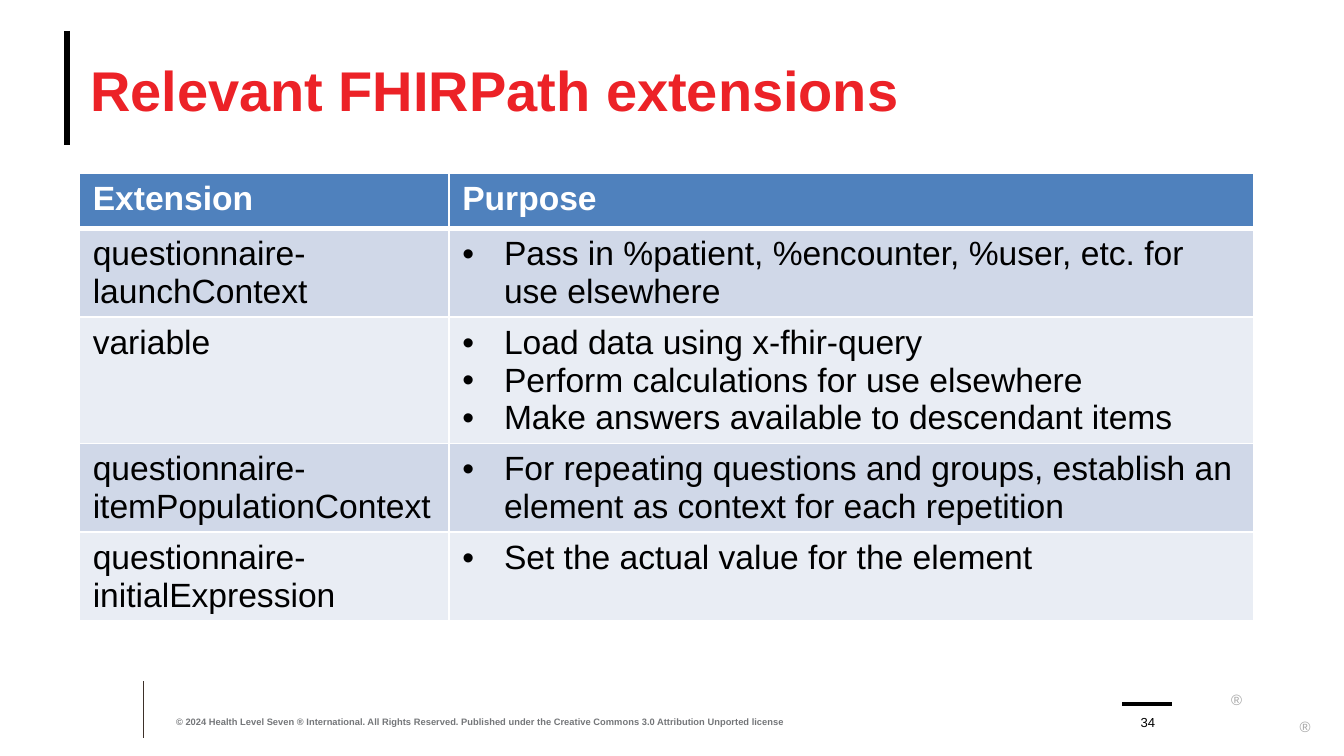
from lxml import etree
from pptx import Presentation
from pptx.dml.color import RGBColor
from pptx.enum import shapes, text
from pptx.oxml import ns
from pptx.util import Inches, Pt

HEADER = ("Extension", "Purpose")
EXTENSIONS = [
    ("questionnaire-launchContext",
     ["Pass in %patient, %encounter, %user, etc. for use elsewhere"]),
    ("variable",
     ["Load data using x-fhir-query",
      "Perform calculations for use elsewhere",
      "Make answers available to descendant items"]),
    ("questionnaire-itemPopulationContext",
     ["For repeating questions and groups, establish an element as context "
      "for each repetition"]),
    ("questionnaire-initialExpression",
     ["Set the actual value for the element"]),
]
COPYRIGHT = ("© 2024 Health Level Seven ® International. All Rights Reserved. "
             "Published under the Creative Commons 3.0 Attribution Unported license")
HEADER_FILL = "4F81BD"
BAND_FILLS = ("D0D8E8", "E9EDF4")
COLUMN_WIDTHS = (2.75, 5.99)
ROW_HEIGHT = 0.41
SLIDE_WIDTH = 10


def color(value):
    return RGBColor.from_string(value)


def add_bullet(paragraph, indent=0.31):
    props = paragraph._p.get_or_add_pPr()
    props.set("marL", str(Inches(indent)))
    props.set("indent", str(-Inches(indent)))
    etree.SubElement(props, ns.qn("a:buFont")).set("typeface", "Arial")
    etree.SubElement(props, ns.qn("a:buChar")).set("char", "•")


def write(frame, lines, size=18, ink="000000", bold=False, bullet=False,
          align=text.PP_ALIGN.LEFT):
    """Fill a text frame with one paragraph for each line."""
    for index, line in enumerate(lines):
        paragraph = frame.add_paragraph() if index else frame.paragraphs[0]
        if bullet:
            add_bullet(paragraph)
        paragraph.alignment = align
        run = paragraph.add_run()
        run.text = line
        run.font.name = "Arial"
        run.font.size = Pt(size)
        run.font.bold = bold
        run.font.color.rgb = color(ink)


def set_frame(frame, anchor, top=0):
    frame.word_wrap = True
    frame.vertical_anchor = anchor
    frame.margin_left = frame.margin_right = frame.margin_bottom = 0
    frame.margin_top = Inches(top)


def add_label(slide, box, line, anchor=text.MSO_ANCHOR.BOTTOM, top=0, **style):
    frame = slide.shapes.add_textbox(*map(Inches, box)).text_frame
    set_frame(frame, anchor, top)
    write(frame, [line], **style)


def add_rule(slide, start, end, width, ink="000000"):
    rule = slide.shapes.add_connector(
        shapes.MSO_CONNECTOR.STRAIGHT, *map(Inches, start + end))
    rule.line.color.rgb = color(ink)
    rule.line.width = Pt(width)
    etree.SubElement(rule._element.spPr, ns.qn("a:effectLst"))


def set_borders(cell, bottom):
    props = cell._tc.get_or_add_tcPr()
    widths = {"lnL": 1, "lnR": 1, "lnT": 1, "lnB": bottom}
    for position, (side, width) in enumerate(widths.items()):
        border = etree.Element(ns.qn(f"a:{side}"), w=str(Pt(width)))
        solid = etree.SubElement(border, ns.qn("a:solidFill"))
        etree.SubElement(solid, ns.qn("a:srgbClr")).set("val", "FFFFFF")
        props.insert(position, border)


def fill_cell(cell, lines, fill, bottom=1, **style):
    cell.fill.solid()
    cell.fill.fore_color.rgb = color(fill)
    set_borders(cell, bottom)
    write(cell.text_frame, lines, **style)


def add_title(slide, line):
    title = slide.shapes.title
    title.left, title.top, title.width, title.height = map(
        Inches, (0.67, 0.23, 9, 0.86))
    set_frame(title.text_frame, text.MSO_ANCHOR.MIDDLE)
    write(title.text_frame, [line], size=30, ink="EC2227", bold=True)


def add_extension_table(slide):
    row_count = len(EXTENSIONS) + 1
    table = slide.shapes.add_table(
        row_count, len(HEADER), Inches(0.59), Inches(1.29),
        Inches(sum(COLUMN_WIDTHS)), Inches(ROW_HEIGHT * row_count)).table
    for column, width in zip(table.columns, COLUMN_WIDTHS):
        column.width = Inches(width)
    for column, heading in enumerate(HEADER):
        fill_cell(table.cell(0, column), [heading], HEADER_FILL, bottom=3,
                  ink="FFFFFF", bold=True)
    for row, (extension, purposes) in enumerate(EXTENSIONS, start=1):
        band = BAND_FILLS[(row - 1) % 2]
        fill_cell(table.cell(row, 0), [extension], band)
        fill_cell(table.cell(row, 1), purposes, band, bullet=True)


def add_footer(slide):
    add_rule(slide, (1.07, 5.07), (1.07, 5.49), 0.5, "3D3029")
    add_rule(slide, (8.35, 5.24), (8.72, 5.24), 2)
    for left, top in ((9.16, 5.1), (9.67, 5.3)):
        add_label(slide, (left, top, 0.11, 0.09), "®", size=8, ink="A6A6A6",
                  anchor=text.MSO_ANCHOR.TOP, top=0.04)
    add_label(slide, (1.31, 5.24, 4.95, 0.17), COPYRIGHT,
              size=5, ink="747679", bold=True)
    add_label(slide, (8.39, 5.24, 0.3, 0.19), "34", size=7,
              align=text.PP_ALIGN.CENTER)


def main():
    deck = Presentation()
    deck.slide_width = Inches(SLIDE_WIDTH)
    deck.slide_height = Inches(SLIDE_WIDTH * 9 / 16)
    slide = deck.slides.add_slide(deck.slide_layouts[5])
    # Title with its bar
    add_rule(slide, (0.5, 0.23), (0.5, 1.08), 3.25)
    add_title(slide, "Relevant FHIRPath extensions")
    # Content and footer
    add_extension_table(slide)
    add_footer(slide)
    deck.save("out.pptx")


if __name__ == "__main__":
    main()
